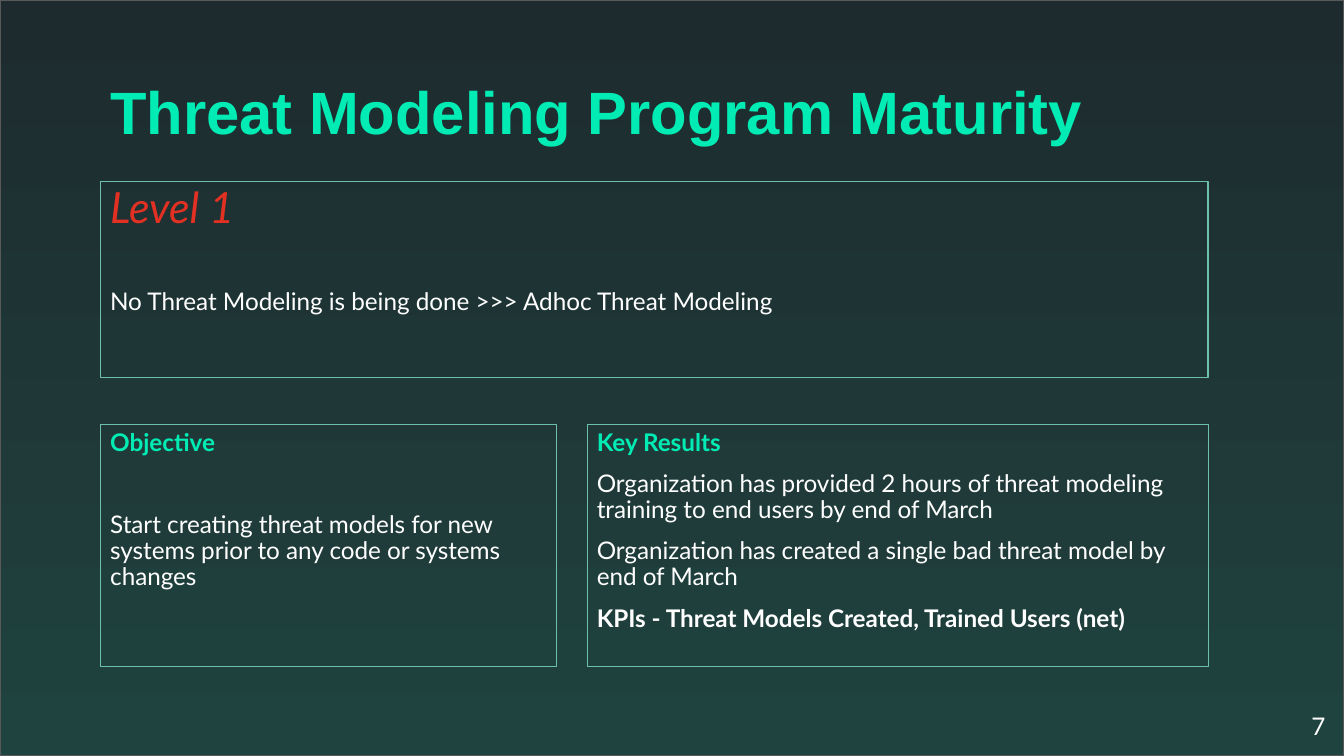
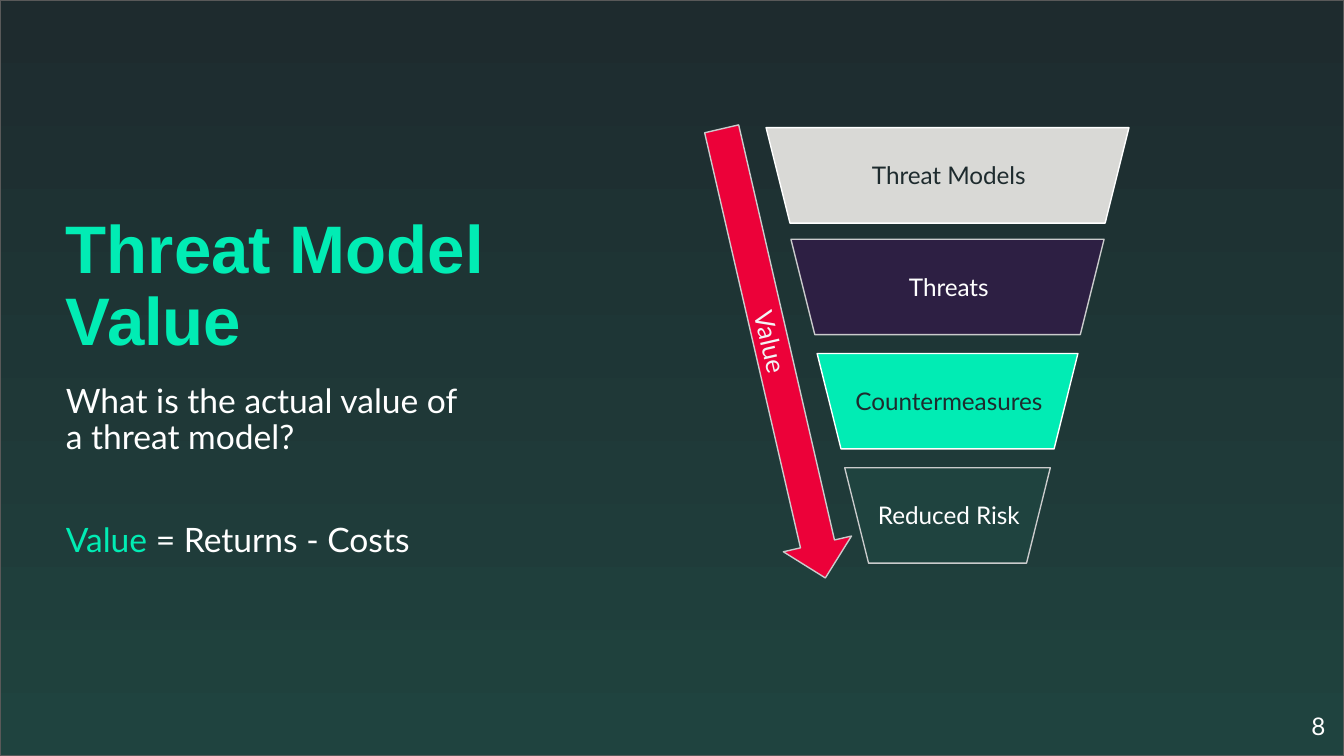
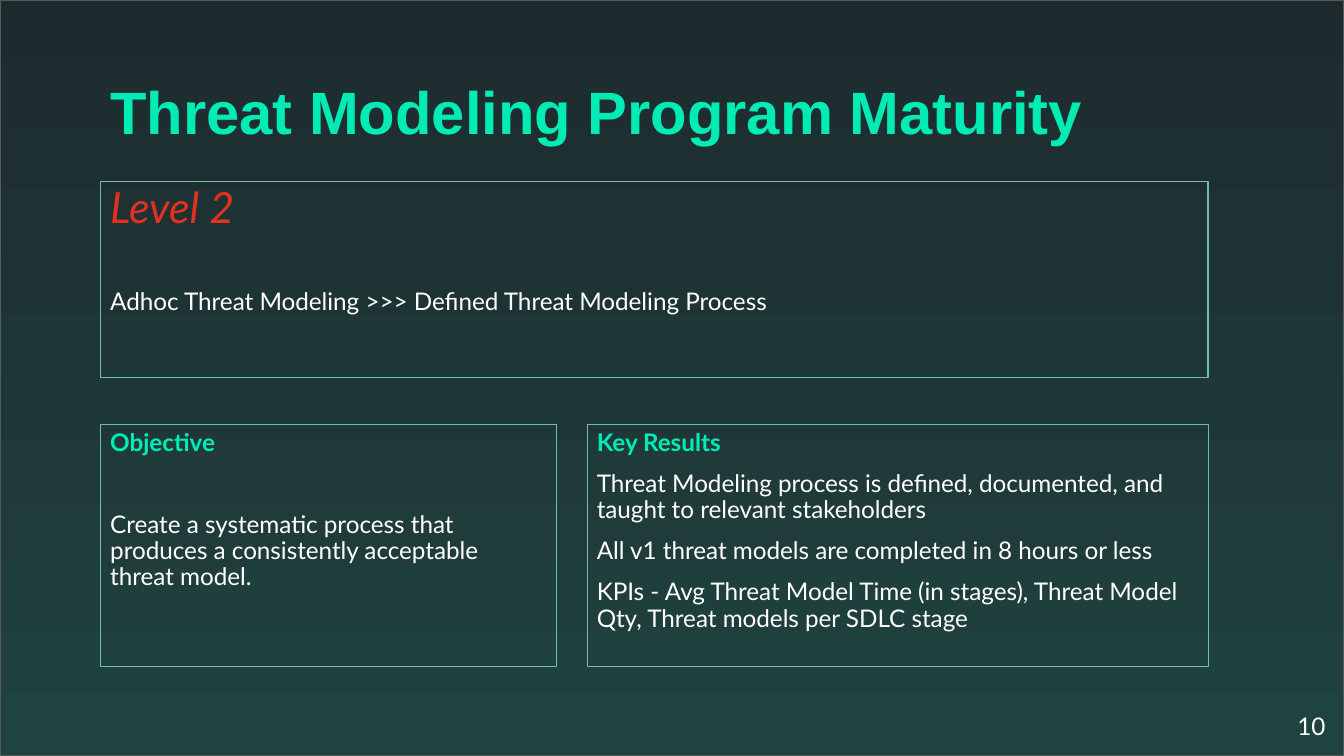
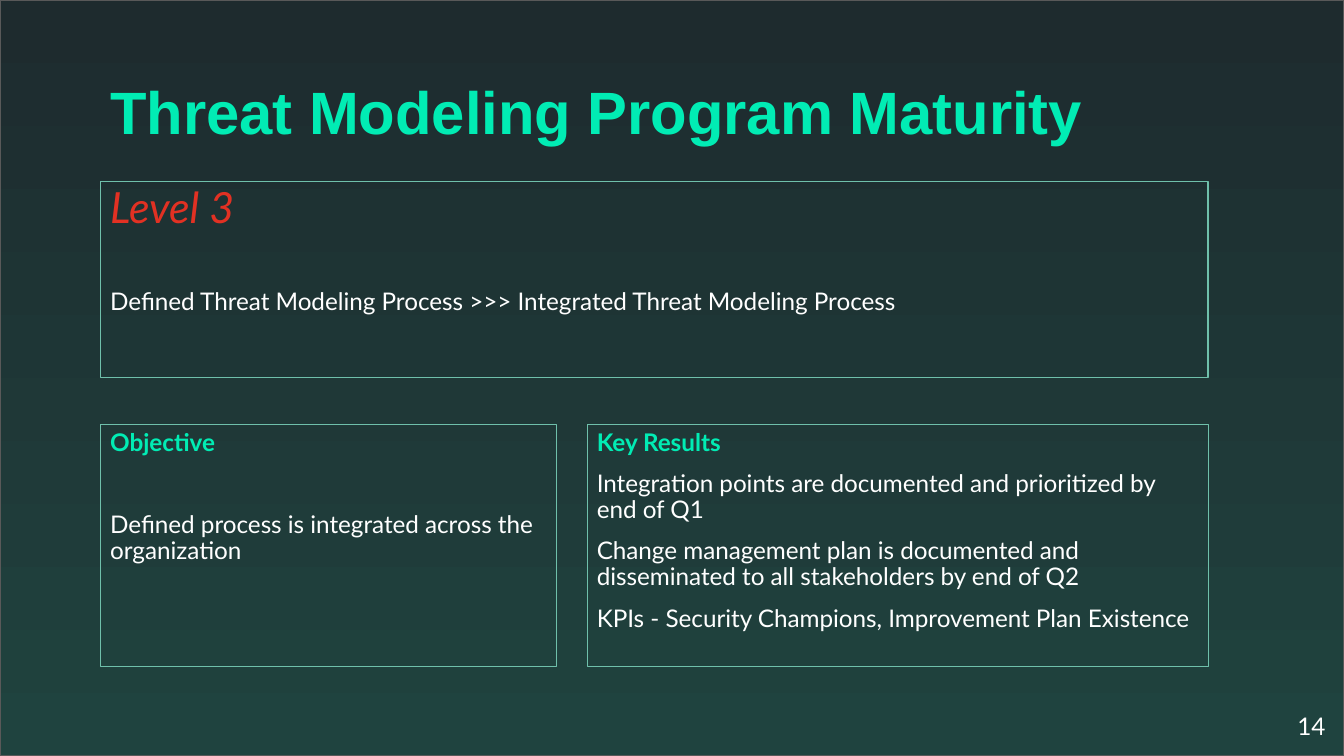
from pptx import Presentation
from pptx.dml.color import RGBColor
from pptx.enum.shapes import MSO_SHAPE
from pptx.enum.text import MSO_ANCHOR, PP_ALIGN
from pptx.util import Inches, Pt

RECT, TRAPEZOID, ARROW = MSO_SHAPE.RECTANGLE, MSO_SHAPE.TRAPEZOID, MSO_SHAPE.RIGHT_ARROW
TOP, MIDDLE, BOTTOM = MSO_ANCHOR.TOP, MSO_ANCHOR.MIDDLE, MSO_ANCHOR.BOTTOM
LEFT, CENTER, RIGHT = PP_ALIGN.LEFT, PP_ALIGN.CENTER, PP_ALIGN.RIGHT

COLORS = {
    "night": "1E2B2E", "forest": "1F433F", "mint": "01ECB4", "sage": "6FC0AB",
    "red": "E23123", "crimson": "EC0139", "purple": "2D1F43", "stone": "D9D9D6",
    "silver": "CACBCC", "gray": "595959", "white": "FFFFFF", "pale": "F3F3F5",
}
WIDTH = 10
HEIGHT = WIDTH * 9 / 16
BODY_INSETS, WIDE_INSETS = (0.07, 0.04), (0.1, 0.1)
GAP, WIDE_GAP, VALUE_GAP = 8, 30, 35.4   # points before a paragraph

# Content
MATURITY_TITLE = "Threat Modeling Program Maturity"
LEVELS = [
    {"page": 7, "level": "Level 1",
     "change": "No Threat Modeling is being done >>> Adhoc Threat Modeling",
     "objective": "Start creating threat models for new systems prior to any code or systems changes",
     "results": ["Organization has provided 2 hours of threat modeling training to end users by end of March",
                 "Organization has created a single bad threat model by end of March"],
     "kpis": "KPIs - Threat Models Created, Trained Users (net)", "bold_kpis": True},
    {"page": 10, "level": "Level 2",
     "change": "Adhoc Threat Modeling >>> Defined Threat Modeling Process",
     "objective": "Create a systematic process that produces a consistently acceptable threat model.",
     "results": ["Threat Modeling process is defined, documented, and taught to relevant stakeholders",
                 "All v1 threat models are completed in 8 hours or less"],
     "kpis": "KPIs - Avg Threat Model Time (in stages), Threat Model Qty, Threat models per SDLC stage",
     "bold_kpis": False},
    {"page": 14, "level": "Level 3",
     "change": "Defined Threat Modeling Process >>> Integrated Threat Modeling Process",
     "objective": "Defined process is integrated across the organization",
     "results": ["Integration points are documented and prioritized by end of Q1",
                 "Change management plan is documented and disseminated to all stakeholders by end of Q2"],
     "kpis": "KPIs - Security Champions, Improvement Plan Existence", "bold_kpis": False},
]
VALUE_PAGE = 8
VALUE_TITLE = "Threat Model Value"
VALUE_QUESTION = "What is the actual value of a threat model?"
VALUE_FORMULA = [("Value", "mint"), (" = Returns - Costs", "white")]
FUNNEL = [  # label, top, width, fill, line, text colour
    ("Threat Models", 0.95, 2.7, "stone", "white", "night"),
    ("Threats", 1.78, 2.33, "purple", "silver", "white"),
    ("Countermeasures", 2.63, 1.94, "mint", "white", "night"),
    ("Reduced Risk", 3.48, 1.53, "forest", "silver", "white"),
]
FUNNEL_CENTER, STAGE_HEIGHT = 7.05, 0.71
LABEL_LEFT, LABEL_WIDTH, LABEL_HEIGHT = 6.23, 1.66, 0.35


def rgb(name):
    return RGBColor.from_string(COLORS[name])


def para(text, size=13, color="white", before=GAP, font="Lato", bold=False,
         italic=False, align=LEFT, spacing=0.9):
    """Describe one paragraph; text is a string or a list of (text, colour)."""
    runs = [(text, color)] if isinstance(text, str) else text
    return dict(runs=runs, size=size, before=before, font=font, bold=bold,
                italic=italic, align=align, spacing=spacing)


def write(sp, paras, anchor=TOP, insets=BODY_INSETS):
    tf = sp.text_frame
    tf.word_wrap = True
    tf.vertical_anchor = anchor
    tf.margin_left = tf.margin_right = Inches(insets[0])
    tf.margin_top = tf.margin_bottom = Inches(insets[1])
    for i, item in enumerate(paras):
        p = tf.paragraphs[0] if i == 0 else tf.add_paragraph()
        p.alignment = item["align"]
        p.line_spacing = item["spacing"]
        p.space_before = Pt(item["before"] if i else 0)
        p.font.size, p.font.name = Pt(item["size"]), item["font"]
        p.font.bold, p.font.italic = item["bold"], item["italic"]
        for text, color in item["runs"]:
            r = p.add_run()
            r.text = text
            r.font.color.rgb = rgb(color)


def add_text(s, box, paras, anchor=TOP, insets=BODY_INSETS):
    write(s.shapes.add_textbox(*map(Inches, box)), paras, anchor, insets)


def add_shape(s, kind, box, line, fill=None, rotation=0):
    sp = s.shapes.add_shape(kind, *map(Inches, box))
    sp.shadow.inherit = False
    sp.rotation = rotation
    sp.line.color.rgb = rgb(line)
    sp.line.width = Pt(0.75)
    if fill:
        sp.fill.solid()
        sp.fill.fore_color.rgb = rgb(fill)
    else:
        sp.fill.background()
    return sp


def add_slide(prs, title, title_box, title_size, page):
    """Slide with gradient backdrop, title and page number."""
    s = prs.slides.add_slide(prs.slide_layouts[6])
    backdrop = add_shape(s, RECT, (0, 0, WIDTH, HEIGHT), "gray")
    backdrop.fill.gradient()
    backdrop.fill.gradient_angle = 270
    for stop, color in zip(backdrop.fill.gradient_stops, ("night", "forest")):
        stop.color.rgb = rgb(color)
    add_text(s, title_box, [para(title, title_size, "mint", font="Arial", bold=True)], BOTTOM)
    add_text(s, (9.36, 5.19, 0.6, 0.43), [para(str(page), align=RIGHT, spacing=1.0)],
             insets=WIDE_INSETS)
    return s


def add_maturity_slide(prs, data):
    s = add_slide(prs, MATURITY_TITLE, (0.75, 0.5, 8.57, 0.64), 32, data["page"])
    panels = [
        ((0.75, 1.35, 8.24, 1.46),
         [para(data["level"], 23, "red", italic=True),
          para(data["change"], before=WIDE_GAP)]),
        ((0.75, 3.16, 3.39, 1.8),
         [para("Objective", color="mint", bold=True),
          para(data["objective"], before=WIDE_GAP)]),
        ((4.37, 3.16, 4.62, 1.8),
         [para("Key Results", color="mint", bold=True),
          *map(para, data["results"]),
          para(data["kpis"], bold=data["bold_kpis"])]),
    ]
    for box, paras in panels:
        write(add_shape(s, RECT, box, "sage"), paras)


def add_value_slide(prs):
    s = add_slide(prs, VALUE_TITLE, (0.42, 1, 4.61, 1.72), 36, VALUE_PAGE)
    add_text(s, (0.42, 2.82, 3.23, 2.04),
             [para(VALUE_QUESTION, 18), para(VALUE_FORMULA, 18, before=VALUE_GAP)])
    # Funnel stages, upside-down trapezoids with upright labels
    for label, top, width, fill, line, color in FUNNEL:
        stage = add_shape(s, TRAPEZOID, (FUNNEL_CENTER - width / 2, top, width, STAGE_HEIGHT),
                          line, fill, 180)
        stage.adjustments[0] = 0.25
        label_top = top + (STAGE_HEIGHT - LABEL_HEIGHT) / 2 + 0.01
        add_text(s, (LABEL_LEFT, label_top, LABEL_WIDTH, LABEL_HEIGHT),
                 [para(label, color=color, align=CENTER)], MIDDLE)
    # Value arrow along the funnel
    arrow = add_shape(s, ARROW, (4.04, 2.37, 3.43, 0.52), "silver", "crimson", 77)
    write(arrow, [para("Value ", 14, "pale", align=CENTER, spacing=1.0)], MIDDLE, WIDE_INSETS)


def main():
    prs = Presentation()
    prs.slide_width, prs.slide_height = Inches(WIDTH), Inches(HEIGHT)
    first, *later = LEVELS
    add_maturity_slide(prs, first)
    add_value_slide(prs)
    for data in later:
        add_maturity_slide(prs, data)
    prs.save("out.pptx")


if __name__ == "__main__":
    main()
